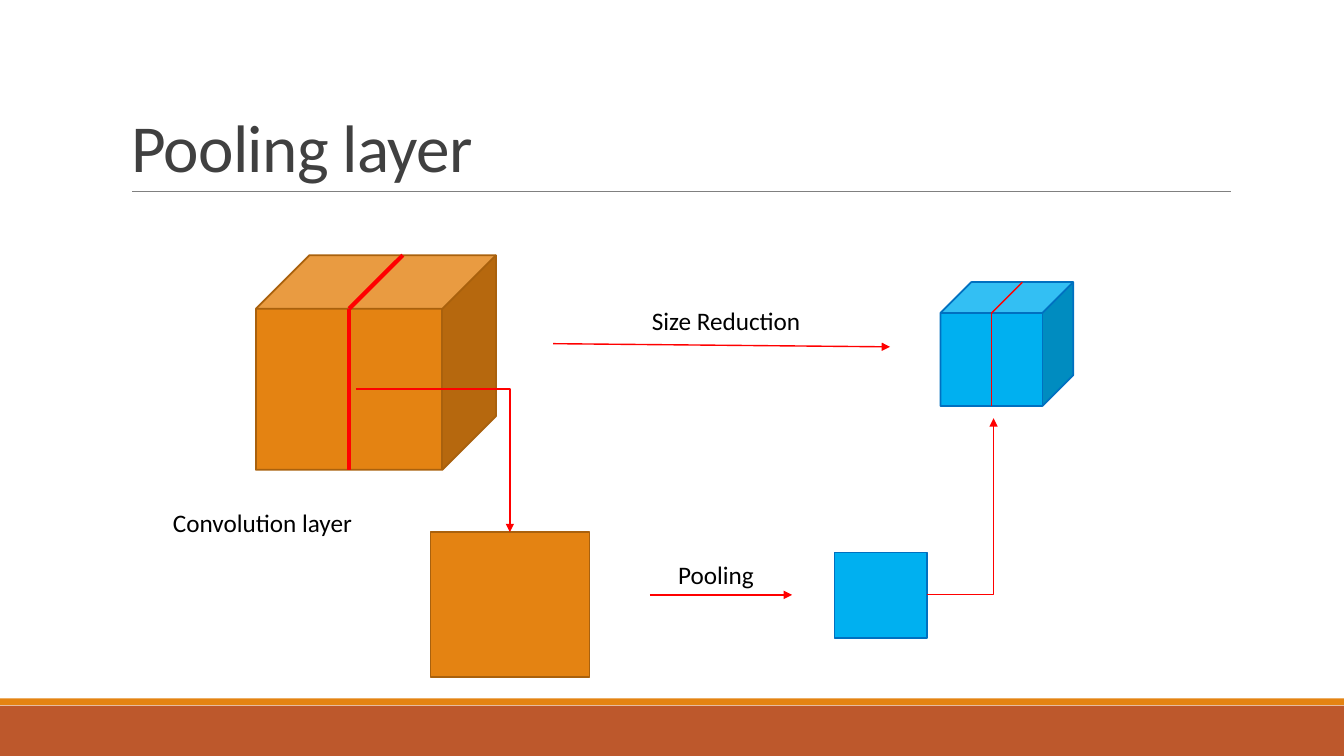
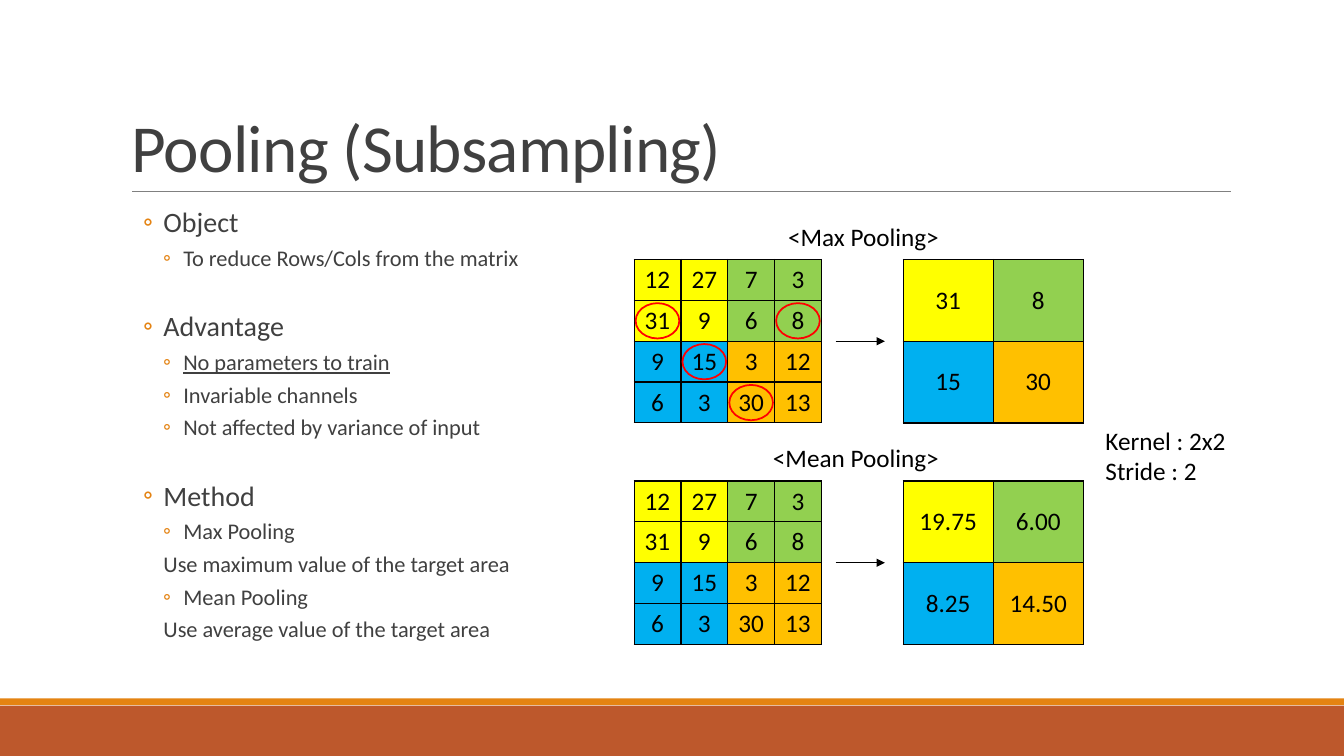
from lxml import etree
from pptx import Presentation
from pptx import util as u
from pptx.dml import color as dml
from pptx.enum import shapes, text
from pptx.oxml import ns

COLORS = {
    "ink": "000000", "title": "404040", "rule": "808080",
    "rust": "BD582C", "orange": "E48312", "brown": "A9610D",
    "red": "FF0000", "blue": "00B0F0", "navy": "0070C0",
    "yellow": "FFFF00", "green": "92D050", "amber": "FFC000",
}
FONT = "Calibri"
CUBE_DEPTH = 0.25
LABEL_HEIGHT = 1.03
QUADRANTS = [["yellow", "green"], ["blue", "amber"]]
MATRIX = [[12, 27, 7, 3], [31, 9, 6, 8], [9, 15, 3, 12], [6, 3, 30, 13]]
OUTLINE = [
    ("Object", ["To reduce Rows/Cols from the matrix"]),
    ("Advantage", ["No parameters to train", "Invariable channels",
                   "Not affected by variance of input"]),
    ("Method", ["Max Pooling", "Use maximum value of the target area",
                "Mean Pooling", "Use average value of the target area"]),
]
UNDERLINED = {"No parameters to train"}
EXPLANATIONS = {"Use maximum value of the target area",
                "Use average value of the target area"}


def rgb(name):
    """Return the named colour."""
    return dml.RGBColor.from_string(COLORS[name])


def lengths(*values):
    """Turn numbers of centimetres into lengths."""
    return [u.Cm(value) for value in values]


def apply(target, **values):
    """Set each given attribute on the target."""
    for name, value in values.items():
        setattr(target, name, value)


def add_span(para, words, size=18, color="ink", **font):
    """Add one formatted run of text to a paragraph."""
    span = para.add_run()
    span.text = words
    apply(span.font, name=FONT, size=u.Pt(size), **font)
    span.font.color.rgb = rgb(color)
    return span


def add_label(page, box, *lines):
    """Add a text box with one paragraph for each line."""
    frame = page.shapes.add_textbox(*lengths(*box)).text_frame
    apply(frame, word_wrap=True, auto_size=text.MSO_AUTO_SIZE.SHAPE_TO_FIT_TEXT)
    for index, line in enumerate(lines):
        para = frame.add_paragraph() if index else frame.paragraphs[0]
        add_span(para, line)


def add_figure(page, kind, box, fill=None, edge=None, weight=1.25):
    """Add a preset shape without shadow."""
    figure = page.shapes.add_shape(kind, *lengths(*box))
    figure.shadow.inherit = False
    if fill:
        figure.fill.solid()
        figure.fill.fore_color.rgb = rgb(fill)
    else:
        figure.fill.background()
    if edge:
        figure.line.color.rgb = rgb(edge)
        figure.line.width = u.Pt(weight)
    else:
        figure.line.fill.background()
    return figure


def add_line(page, start, end, color="red", weight=1, arrow=False, bent=False):
    """Add a straight or once-bent connector, with an arrowhead if wanted."""
    kind = shapes.MSO_CONNECTOR.ELBOW if bent else shapes.MSO_CONNECTOR.STRAIGHT
    line = page.shapes.add_connector(kind, *lengths(*start, *end))
    line.line.color.rgb = rgb(color)
    line.line.width = u.Pt(weight)
    properties = line.element.spPr
    if bent:
        properties.find(ns.qn("a:prstGeom")).set("prst", "bentConnector2")
    if arrow:
        stroke = properties.find(ns.qn("a:ln"))
        etree.SubElement(stroke, ns.qn("a:tailEnd"), type="triangle")
    etree.SubElement(properties, ns.qn("a:effectLst"))
    return line


def dress_layout(layout, page):
    """Give the layout the footer bands and the rule under the title."""
    for holder in list(layout.placeholders)[1:]:
        holder.element.getparent().remove(holder.element)
    rectangle = shapes.MSO_SHAPE.RECTANGLE
    parts = [
        add_figure(page, rectangle, (0, 17.78, 33.87, 1.27), "rust"),
        add_figure(page, rectangle, (0, 17.6, 33.87, 0.17), "orange"),
        add_line(page, (3.33, 4.83), (31.01, 4.83), "rule", 0.5),
    ]
    for part in parts:
        layout.shapes.element.append(part.element)


def set_title(page, words):
    """Place and format the title placeholder."""
    title = page.shapes.title
    left, top, width, height = lengths(3.05, 0.79, 27.94, 4.04)
    apply(title, left=left, top=top, width=width, height=height)
    apply(title.text_frame, word_wrap=True, auto_size=text.MSO_AUTO_SIZE.NONE,
          vertical_anchor=text.MSO_ANCHOR.BOTTOM)
    para = title.text_frame.paragraphs[0]
    apply(para, alignment=text.PP_ALIGN.LEFT, line_spacing=0.85)
    span = add_span(para, words, 48, "title")
    span.font.element.set("spc", "-50") if hasattr(span.font, "element") else \
        span._r.get_or_add_rPr().set("spc", "-50")


def striped_cube(page, box, fill, edge, weight):
    """Draw a cube with a red stripe halfway along its front and top."""
    left, top, width, height = box
    depth = CUBE_DEPTH * min(width, height)
    cube = add_figure(page, shapes.MSO_SHAPE.CUBE, box, fill, edge)
    cube.adjustments[0] = CUBE_DEPTH
    middle = left + (width - depth) / 2
    corner = (middle, top + depth)
    add_line(page, corner, (middle + depth, top), weight=weight)
    add_line(page, corner, (middle, top + height), weight=weight)


def pooling_diagram(page, left, top):
    """Draw the path from convolution layer to the reduced layer."""
    def at(x, y, *size):
        """Shift a place into the diagram."""
        return (left + x, top + y, *size)

    square = shapes.MSO_SHAPE.RECTANGLE
    striped_cube(page, at(2.45, 0.43, 6.05, 5.41), "orange", "brown", 3)
    striped_cube(page, at(19.7, 1.11, 3.35, 3.12), "blue", "navy", 1)
    add_figure(page, square, at(6.85, 7.41, 4.01, 3.66), "orange", "brown")
    add_figure(page, square, at(17.03, 7.92, 2.34, 2.16), "blue", "navy")
    arrows = [
        ((9.94, 2.66), (18.43, 2.74), False),
        ((4.97, 3.8), (8.85, 7.41), True),
        ((12.38, 8.99), (15.96, 8.99), False),
        ((19.37, 8.99), (21.04, 4.54), True),
    ]
    for start, end, bent in arrows:
        add_line(page, at(*start), at(*end), arrow=True, bent=bent)
    labels = [
        ("Convolution layer", 0.11, 6.67, 5.82),
        ("Size Reduction", 12.18, 1.57, 6.86),
        ("Pooling", 12.84, 7.97, 5.05),
    ]
    for words, x, y, width in labels:
        add_label(page, at(x, y, width, LABEL_HEIGHT), words)


def outline_para(frame, words, level, first, before):
    """Add one line of the outline, with a bullet unless it explains another."""
    para = frame.paragraphs[0] if first else frame.add_paragraph()
    apply(para, level=level, line_spacing=0.9,
          space_before=u.Pt(before), space_after=u.Pt(4))
    add_span(para, words, 16 if level else 20, "title",
             underline=words in UNDERLINED)
    plain = words in EXPLANATIONS
    margin = 1.57 if level and not plain else 1.07
    properties = para._p.get_or_add_pPr()
    properties.set("marL", str(u.Cm(margin)))
    properties.set("indent", str(0 if plain else u.Cm(-0.51)))
    if plain:
        etree.SubElement(properties, ns.qn("a:buNone"))
        return
    tint = etree.SubElement(properties, ns.qn("a:buClr"))
    etree.SubElement(tint, ns.qn("a:srgbClr"), val=COLORS["orange"])
    etree.SubElement(properties, ns.qn("a:buFont"), typeface=FONT)
    etree.SubElement(properties, ns.qn("a:buChar"), char="◦")


def outline(page, box):
    """Write the headings with their points."""
    frame = page.shapes.add_textbox(*lengths(*box)).text_frame
    apply(frame, word_wrap=True, margin_left=0, margin_right=0)
    for index, (heading, points) in enumerate(OUTLINE):
        outline_para(frame, heading, 0, index == 0, 25.5 if index else 2)
        for point in points:
            outline_para(frame, point, 1, False, 2)


def add_grid(page, box, rows):
    """Add a square table whose quadrants have their own colours."""
    count = len(rows)
    graphic = page.shapes.add_table(count, count, *lengths(*box))
    table = graphic.table
    apply(table, first_row=False, horz_banding=False)
    for index in range(count):
        table.columns[index].width = u.Cm(box[2] / count)
        table.rows[index].height = u.Cm(box[3] / count)
    for r, row in enumerate(rows):
        for c, value in enumerate(row):
            cell = table.cell(r, c)
            fill_cell(cell, value, QUADRANTS[2 * r // count][2 * c // count])


def fill_cell(cell, value, fill):
    """Give a cell its borders, fill and centred value."""
    properties = cell._tc.get_or_add_tcPr()
    for side in ("lnL", "lnR", "lnT", "lnB"):
        border = etree.SubElement(properties, ns.qn(f"a:{side}"), w=str(u.Pt(1)))
        solid = etree.SubElement(border, ns.qn("a:solidFill"))
        etree.SubElement(solid, ns.qn("a:srgbClr"), val=COLORS["ink"])
    cell.fill.solid()
    cell.fill.fore_color.rgb = rgb(fill)
    cell.vertical_anchor = text.MSO_ANCHOR.MIDDLE
    para = cell.text_frame.paragraphs[0]
    para.alignment = text.PP_ALIGN.CENTER
    add_span(para, str(value))


def kernel_cells(row, column):
    """List the cells under the kernel at a place of the pooled grid."""
    return [(2 * row + r, 2 * column + c) for r in range(2) for c in range(2)]


def value_at(place):
    """Look up a value of the matrix."""
    return MATRIX[place[0]][place[1]]


def pooling_panel(page, box, caption, caption_left, reduce, circled):
    """Show the matrix, an arrow and the pooled grid below a caption."""
    left, top, width, height = box
    grid_top, grid_height = top + 1.1, height - 1.1
    grid_width, pooled_width = 4.72, 4.54
    kernels = [[kernel_cells(r, c) for c in range(2)] for r in range(2)]
    pooled = [[reduce([value_at(place) for place in cells]) for cells in row]
              for row in kernels]
    add_label(page, (left + caption_left, top, 4.9, LABEL_HEIGHT), caption)
    add_grid(page, (left, grid_top, grid_width, grid_height), MATRIX)
    add_grid(page, (left + width - pooled_width, grid_top, pooled_width,
                    grid_height), pooled)
    middle = grid_top + grid_height / 2
    add_line(page, (left + 5.08, middle), (left + 6.32, middle), "ink", arrow=True)
    if not circled:
        return
    across, down = grid_width / 4, grid_height / 4
    ring_width, ring_height = 1.1, 0.89
    for cells in kernels[0] + kernels[1]:
        r, c = max(cells, key=value_at)
        ring = (left + c * across + (across - ring_width) / 2,
                grid_top + r * down + (down - ring_height) / 2,
                ring_width, ring_height)
        add_figure(page, shapes.MSO_SHAPE.OVAL, ring, edge="red")


def mean(values):
    """Format the average with two decimals."""
    return f"{sum(values) / len(values):.2f}"


def main():
    """Build and save the deck."""
    deck = Presentation()
    deck.slide_width, deck.slide_height = lengths(33.87, 19.05)
    layout = deck.slide_layouts[5]

    page = deck.slides.add_slide(layout)
    dress_layout(layout, page)
    set_title(page, "Pooling layer")
    pooling_diagram(page, 4, 6)

    page = deck.slides.add_slide(layout)
    set_title(page, "Pooling (Subsampling)")
    outline(page, (3.05, 5.13, 12.5, 12.4))
    pooling_panel(page, (15.98, 5.44, 11.32, 5.22), "<Max Pooling>", 3.63, max, True)
    pooling_panel(page, (15.98, 11.02, 11.32, 5.22), "<Mean Pooling>", 3.25, mean, False)
    add_label(page, (27.61, 10.59, 4.01, 2.57), "Kernel : 2x2", "Stride : 2")
    deck.save("out.pptx")


if __name__ == "__main__":
    main()
